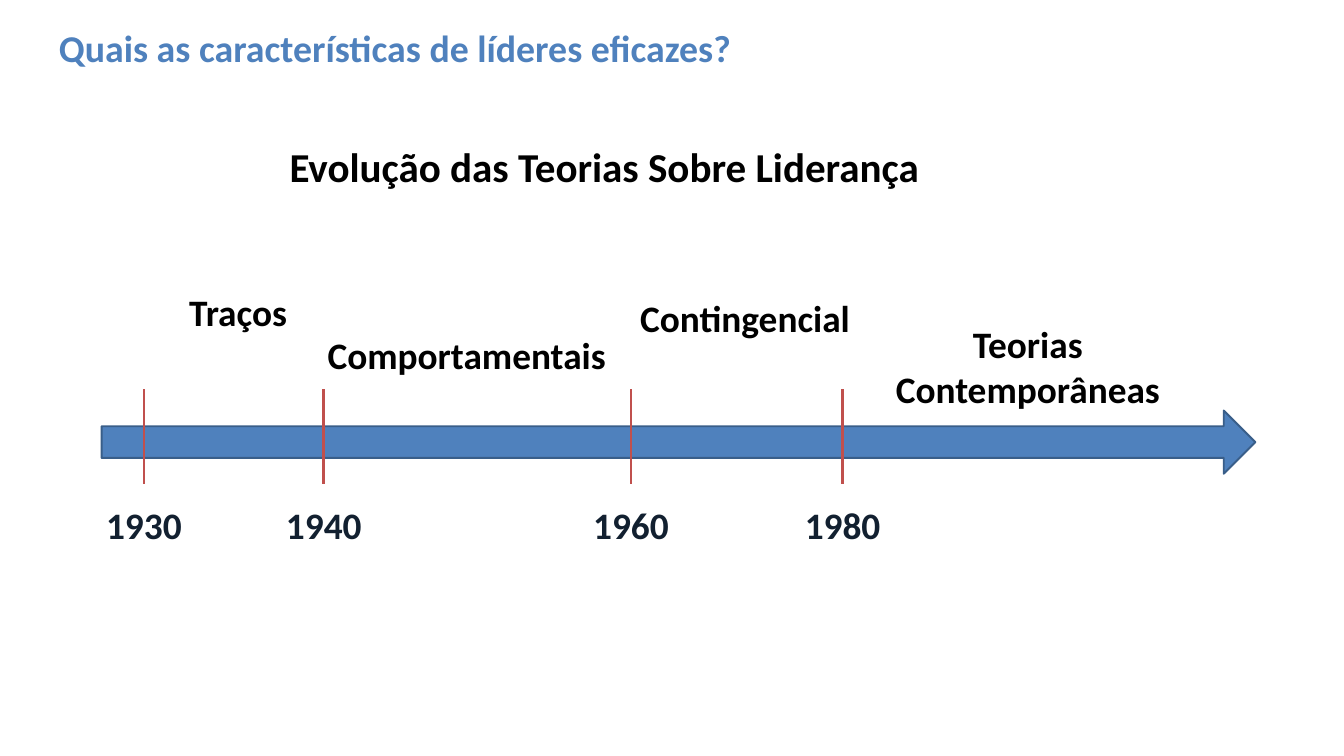
from lxml import etree
from pptx import Presentation
from pptx.dml.color import RGBColor
from pptx.enum.shapes import MSO_CONNECTOR, MSO_SHAPE
from pptx.enum.text import MSO_ANCHOR, PP_ALIGN
from pptx.oxml.ns import qn
from pptx.util import Cm, Pt

LEFT, CENTER = PP_ALIGN.LEFT, PP_ALIGN.CENTER
TOP, MIDDLE = MSO_ANCHOR.TOP, MSO_ANCHOR.MIDDLE
STRAIGHT = MSO_CONNECTOR.STRAIGHT
RIGHT_ARROW = MSO_SHAPE.RIGHT_ARROW

COLORS = {
    "blue": "4F81BD",
    "outline": "395E89",
    "red": "C0504D",
    "year": "122030",
    "black": "000000",
}
FONT = "Calibri"

# Content: lengths in centimetres
QUESTION = "Quais as características de líderes eficazes?"
TITLE = "Evolução das Teorias Sobre Liderança"
MILESTONES = [("1930", 5.44), ("1940", 12.24), ("1960", 23.85), ("1980", 31.85)]
THEORIES = [  # text, left, top, width, height
    ("Traços", 3.45, 10.67, 11.1, 2.21),
    ("Comportamentais", 10.64, 12.29, 14, 2.21),
    ("Contingencial", 20.96, 10.9, 14.4, 2.21),
    ("Teorias Contemporâneas", 31.85, 11.91, 14, 3.94),
]
TICK_TOP, TICK_BOTTOM = 14.71, 18.31
YEAR_TOP, YEAR_WIDTH, YEAR_HEIGHT = 18.72, 6.4, 2.21


def color(name):
    return RGBColor.from_string(COLORS[name])


def add_text(slide, text, box, size=40, color_name="black", align=CENTER,
             anchor=TOP, inset=0.5):
    shape = slide.shapes.add_textbox(*map(Cm, box))
    frame = shape.text_frame
    frame.word_wrap = True
    frame.vertical_anchor = anchor
    frame.margin_left = frame.margin_right = Cm(inset)
    frame.margin_top = frame.margin_bottom = Cm(inset / 2)
    paragraph = frame.paragraphs[0]
    paragraph.text = text
    paragraph.alignment = align
    font = paragraph.font
    font.name, font.size, font.bold = FONT, Pt(size), True
    font.color.rgb = color(color_name)


def add_tick(slide, x):
    tick = slide.shapes.add_connector(
        STRAIGHT, Cm(x), Cm(TICK_TOP), Cm(x), Cm(TICK_BOTTOM))
    tick.line.color.rgb = color("red")
    tick.line.width = Pt(3)
    etree.SubElement(tick._element.spPr, qn("a:effectLst"))


def main():
    presentation = Presentation()
    presentation.slide_width, presentation.slide_height = Cm(50.8), Cm(28.58)
    slide = presentation.slides.add_slide(presentation.slide_layouts[6])

    # Headings
    add_text(slide, QUESTION, (1.98, 0.89, 34.67, 1.8), 40.5, "blue",
             LEFT, MIDDLE, 0.25)
    add_text(slide, TITLE, (0, 4.09, 45.72, 4.39), 44, anchor=MIDDLE)

    # Timeline arrow
    arrow = slide.shapes.add_shape(
        RIGHT_ARROW, Cm(3.84), Cm(15.52), Cm(43.61), Cm(2.39))
    arrow.shadow.inherit = False
    arrow.fill.solid()
    arrow.fill.fore_color.rgb = color("blue")
    arrow.line.color.rgb = color("outline")
    arrow.line.width = Pt(2)

    # Ticks with a year centred below each
    for year, x in MILESTONES:
        add_tick(slide, x)
        add_text(slide, year,
                 (x - YEAR_WIDTH / 2, YEAR_TOP, YEAR_WIDTH, YEAR_HEIGHT),
                 color_name="year")

    # Theories above the arrow
    for text, *box in THEORIES:
        add_text(slide, text, box)

    presentation.save("out.pptx")


if __name__ == "__main__":
    main()
